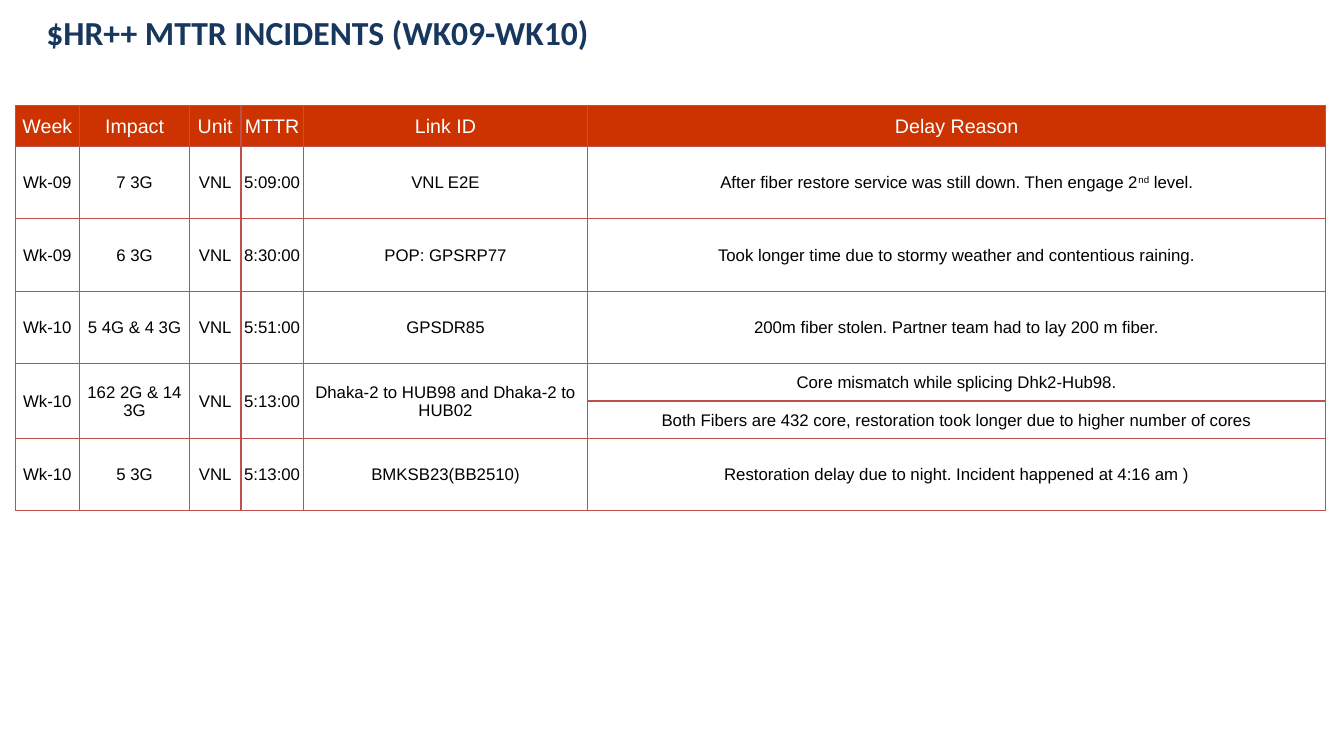
from lxml import etree
from pptx import Presentation
from pptx import util as u
from pptx.dml import color
from pptx.enum import text
from pptx.oxml import ns

WIDTH, HEIGHT = 13.33, 7.5
NAVY, RED, BORDER, WHITE, BLACK = "17375E", "CC3300", "C0504D", "FFFFFF", "000000"
COLUMNS = [0.64, 1.09, 0.51, 0.62, 2.82, 7.32]
ROWS = [0.4, 0.72, 0.72, 0.72, 0.37, 0.37, 0.72]
SPLIT_ROW = 4
UNIT = "VNL"
HEADINGS = ["Week", "Impact", "Unit", "MTTR", "Link ID", "Delay Reason"]
INCIDENTS = [
    ["Wk-09", "7 3G", UNIT, "5:09:00", UNIT + " E2E",
     ["After fiber restore service was still down. Then engage 2", "nd", " level."]],
    ["Wk-09", "6 3G", UNIT, "8:30:00", "POP: GPSRP77",
     "Took longer time due to stormy weather and contentious raining."],
    ["Wk-10", "5 4G & 4 3G", UNIT, "5:51:00", "GPSDR85",
     "200m fiber stolen. Partner team had to lay 200 m fiber."],
    ["Wk-10", "162 2G & 14 3G", UNIT, "5:13:00", "Dhaka-2 to HUB98 and Dhaka-2 to HUB02",
     "Core mismatch while splicing Dhk2-Hub98."],
    [None] * 5 + ["Both Fibers are 432 core, restoration took longer due to higher number of cores"],
    ["Wk-10", "5 3G", UNIT, "5:13:00", "BMKSB23(BB2510)",
     "Restoration delay due to night. Incident happened at 4:16 am )"],
]


def rgb(code):
    return color.RGBColor.from_string(code)


def add_span(para, words, size, font, code, bold=False, raised=False):
    span = para.add_run()
    span.text = words
    span.font.size = u.Pt(size)
    span.font.name = font
    span.font.bold = bold
    span.font.color.rgb = rgb(code)
    if raised:
        span._r.get_or_add_rPr().set("baseline", "30000")


def add_title(page, words):
    box = page.shapes.add_textbox(u.Inches(0.34), u.Inches(0.06), u.Inches(8.46), u.Inches(0.68))
    frame = box.text_frame
    frame.word_wrap = True
    frame.margin_left = frame.margin_right = u.Inches(0.12)
    frame.margin_top = frame.margin_bottom = u.Inches(0.06)
    add_span(frame.paragraphs[0], words, 24, "Calibri", NAVY, bold=True)


def set_borders(cell, code):
    properties = cell._tc.get_or_add_tcPr()
    for side in ("lnL", "lnR", "lnT", "lnB"):
        line = etree.SubElement(properties, ns.qn("a:" + side), w=str(u.Pt(1)))
        fill = etree.SubElement(line, ns.qn("a:solidFill"))
        etree.SubElement(fill, ns.qn("a:srgbClr"), val=code)


def style_cell(cell, fill):
    cell.vertical_anchor = text.MSO_ANCHOR.MIDDLE
    cell.margin_left = cell.margin_right = cell.margin_top = u.Inches(0.01)
    cell.margin_bottom = 0
    set_borders(cell, BORDER)
    if fill:
        cell.fill.solid()
        cell.fill.fore_color.rgb = rgb(fill)
    else:
        cell.fill.background()


def fill_cell(cell, content, size, code):
    para = cell.text_frame.paragraphs[0]
    para.alignment = text.PP_ALIGN.CENTER
    pieces = [content] if isinstance(content, str) else content
    for index, words in enumerate(pieces):
        add_span(para, words, size, "Arial", code, raised=index == 1)


def add_incident_table(page):
    frame = page.shapes.add_table(len(ROWS), len(COLUMNS), u.Inches(0.15), u.Inches(1.05),
                                  u.Inches(sum(COLUMNS)), u.Inches(sum(ROWS)))
    table = frame.table
    table.horz_banding = False
    for column, width in zip(table.columns, COLUMNS):
        column.width = u.Inches(width)
    for row, height in zip(table.rows, ROWS):
        row.height = u.Inches(height)
    for row, contents in enumerate([HEADINGS] + INCIDENTS):
        fill, size, code = (None, 12, BLACK) if row else (RED, 14, WHITE)
        for column, content in enumerate(contents):
            cell = table.cell(row, column)
            style_cell(cell, fill)
            if content:
                fill_cell(cell, content, size, code)
    for column in range(len(COLUMNS) - 1):
        table.cell(SPLIT_ROW, column).merge(table.cell(SPLIT_ROW + 1, column))


def main():
    deck = Presentation()
    deck.slide_width, deck.slide_height = u.Inches(WIDTH), u.Inches(HEIGHT)
    page = deck.slides.add_slide(deck.slide_layouts[6])
    add_title(page, "$HR++ MTTR INCIDENTS (WK09-WK10)")
    add_incident_table(page)
    deck.save("out.pptx")


main()
